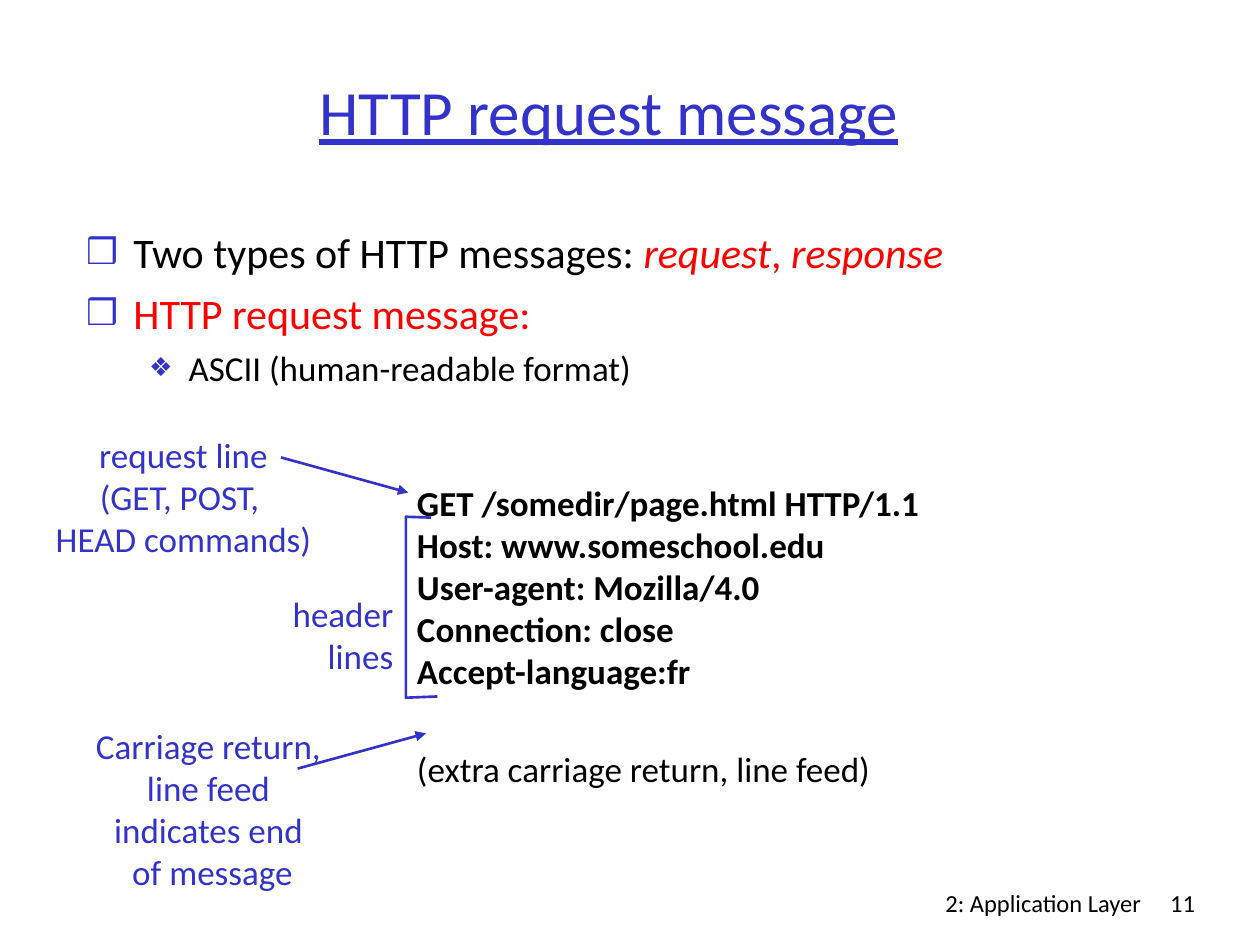
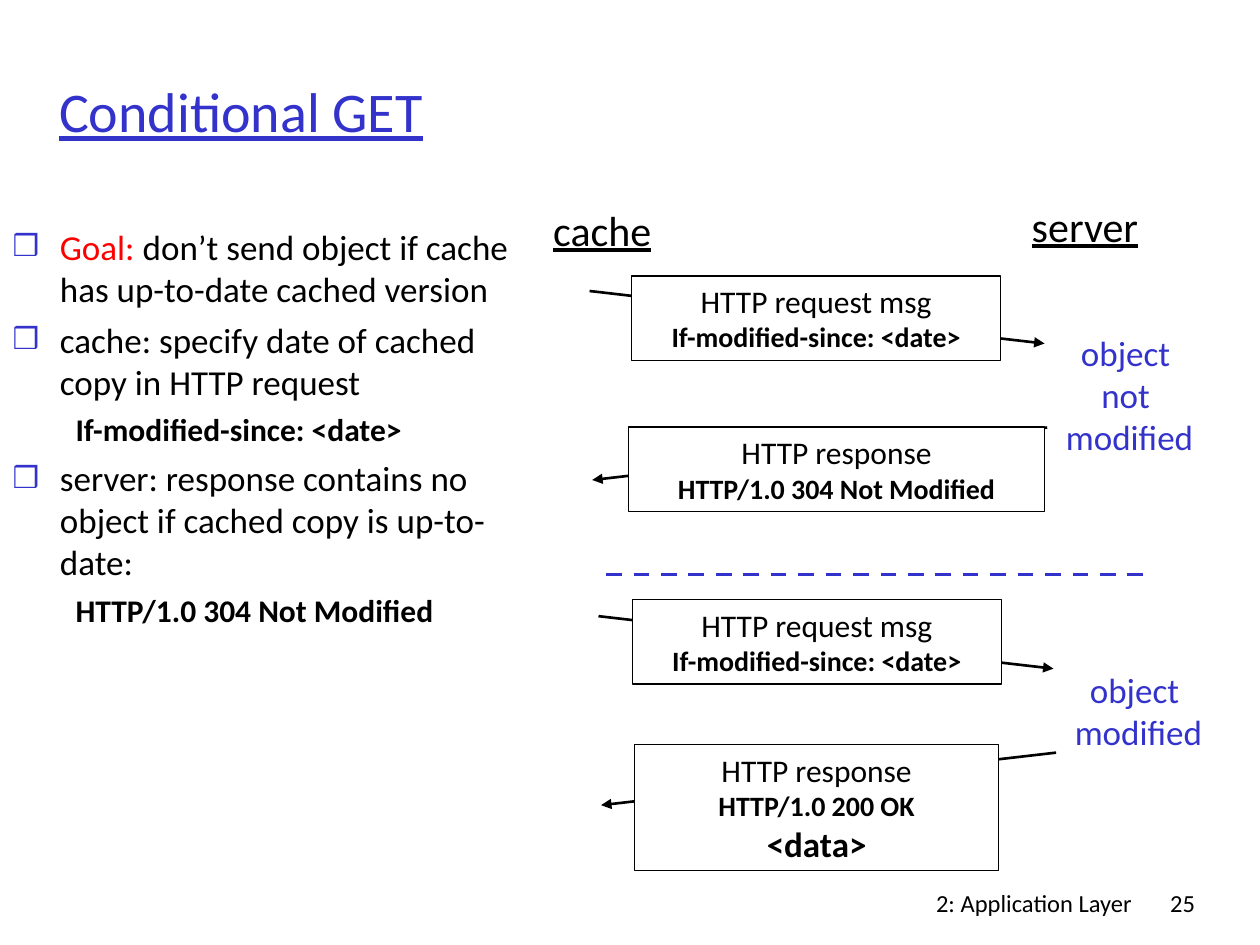
import pptx
import pptx.util
import pptx.dml.color
import pptx.enum.dml
import pptx.enum.shapes
import pptx.enum.text
import pptx.oxml
import pptx.oxml.ns

Pt = pptx.util.Pt
RGBColor = pptx.dml.color.RGBColor
ALIGN = pptx.enum.text.PP_ALIGN
AUTO_SIZE = pptx.enum.text.MSO_AUTO_SIZE
SHAPE = pptx.enum.shapes.MSO_SHAPE
CONNECTOR = pptx.enum.shapes.MSO_CONNECTOR

BLUE = RGBColor(0x33, 0x33, 0xCC)
RED = RGBColor(0xFF, 0x00, 0x00)
BLACK = RGBColor(0x00, 0x00, 0x00)
WHITE = RGBColor(0xFF, 0xFF, 0xFF)
FONT = "Calibri"
BULLETS = {"❒": 85000, "❖": 75000}


def sub(parent, tag, **attrs):
    el = pptx.oxml.parse_xml(f"<a:{tag} {pptx.oxml.ns.nsdecls('a')}/>")
    for name, value in attrs.items():
        el.set(name, str(value))
    parent.append(el)
    return el


def style(font, size=None, color=None, bold=None, italic=None, underline=None):
    if size:
        font.size = Pt(size)
    if color is not None:
        font.color.rgb = color
    font.bold, font.italic, font.underline = bold, italic, underline


def write(p, text, size=20, color=BLACK, align=ALIGN.LEFT, **kw):
    p.alignment = align
    p.font.name = FONT
    style(p.font, size, color, **kw)
    for part in [text] if isinstance(text, str) else text:
        words, look = (part, {}) if isinstance(part, str) else part
        r = p.add_run()
        r.text = words
        style(r.font, **look)


def paragraphs(tf, count):
    return [tf.paragraphs[0]] + [tf.add_paragraph() for _ in range(count - 1)]


def place(sp, box):
    sp.left, sp.top, sp.width, sp.height = map(Pt, box)


def add_text(slide, box, lines, wrap=False, **kw):
    sp = slide.shapes.add_textbox(*map(Pt, box))
    tf = sp.text_frame
    tf.word_wrap = wrap
    tf.auto_size = AUTO_SIZE.NONE if wrap else AUTO_SIZE.SHAPE_TO_FIT_TEXT
    for p, line in zip(paragraphs(tf, len(lines)), lines):
        write(p, line, **kw)
    return tf


def add_line(slide, start, end, color, width=1.5, arrow=True):
    line = slide.shapes.add_connector(CONNECTOR.STRAIGHT, *map(Pt, start + end))
    line.line.color.rgb = color
    line.line.width = Pt(width)
    if arrow:
        sub(line.line._get_or_add_ln(), "tailEnd", type="triangle")
    sub(line._element.spPr, "effectLst")
    return line


def add_title(slide, box, text, size, align):
    sp = slide.shapes.title
    place(sp, box)
    tf = sp.text_frame
    tf.auto_size = AUTO_SIZE.NONE
    tf.vertical_anchor = pptx.enum.text.MSO_ANCHOR.MIDDLE
    write(tf.paragraphs[0], text, size, BLUE, align, underline=True)


def add_body(slide, box, items):
    sp = slide.placeholders[1]
    place(sp, box)
    tf = sp.text_frame
    tf.auto_size = AUTO_SIZE.NONE
    for i, (p, item) in enumerate(zip(paragraphs(tf, len(items)), items)):
        level, bullet, text, look = item
        p.level = level
        p.space_before = Pt(look["size"] / 4 if i else 0)
        pPr = p._p.get_or_add_pPr()
        margin, indent = [(27, -27), (58.5, -22.5)][level]
        pPr.set("marL", str(Pt(margin)))
        pPr.set("indent", str(Pt(indent)))
        if bullet:
            sub(sub(pPr, "buClr"), "srgbClr", val=BLUE)
            sub(pPr, "buSzPct", val=BULLETS[bullet])
            sub(pPr, "buChar", char=bullet)
        else:
            sub(pPr, "buNone")
        write(p, text, **look)


def add_footer(slide, left, number):
    for box, text in [((left, 504, 228, 36), "2: Application Layer"),
                      ((654, 504, 36, 36), number)]:
        add_text(slide, box, [text], wrap=True, size=14, align=ALIGN.RIGHT)


def add_bracket(slide, box):
    x, y, w, h = box
    points = [(x + 14.5, y + 0.5), (x, y), (x, y + h), (x + w, y + h - 0.7)]
    points = [(Pt(px), Pt(py)) for px, py in points]
    builder = slide.shapes.build_freeform(*points[0])
    builder.add_line_segments(points[1:], close=False)
    sp = builder.convert_to_shape()
    sp.shadow.inherit = False
    sp.fill.background()
    sp.line.color.rgb = BLUE
    sp.line.width = Pt(1.5)


def add_message_diagram(slide, box):
    x, y, w, h = box
    tf = add_text(slide, (x + 206.6, y + 27.4, 303, 185),
                  ["GET /somedir/page.html HTTP/1.1", "Host: www.someschool.edu",
                   "User-agent: Mozilla/4.0", "Connection: close",
                   "Accept-language:fr"], bold=True)
    p = tf.add_paragraph()
    p.space_before = Pt(32)
    write(p, "(extra carriage return, line feed)")
    add_text(slide, (x, y, 160.5, 79),
             ["request line", "(GET, POST, ", "HEAD commands)"],
             color=BLUE, align=ALIGN.CENTER)
    add_line(slide, (x + 136, y + 17.3), (x + 208.7, y + 37.4), BLUE)
    add_bracket(slide, (x + 207.3, y + 51.2, 18, 103.4))
    add_text(slide, (x + 135.3, y + 90.7, 72, 55.4), ["header", "lines"],
             color=BLUE, align=ALIGN.RIGHT)
    add_line(slide, (x + 145.5, y + 195.1), (x + 218.8, y + 175), BLUE)
    add_text(slide, (x + 23, y + 166.3, 147.6, 103.7),
             ["Carriage return, ", "line feed ", "indicates end ", "of message"],
             color=BLUE, align=ALIGN.CENTER)


def add_message(slide, box, lines):
    sp = slide.shapes.add_shape(SHAPE.RECTANGLE, *map(Pt, box))
    sp.shadow.inherit = False
    sp.fill.solid()
    sp.fill.fore_color.rgb = WHITE
    sp.line.color.rgb = BLACK
    sp.line.width = Pt(0.75)
    tf = sp.text_frame
    tf.word_wrap = True
    tf.vertical_anchor = pptx.enum.text.MSO_ANCHOR.TOP
    for i, (p, size) in enumerate(zip(paragraphs(tf, len(lines)), (18, 16, 20))):
        write(p, lines[i], size, align=ALIGN.CENTER, bold=i > 0)


def add_exchange(slide, box, request_box, response_box, status):
    x, y, w, h = box
    add_line(slide, (x, y), (x + w, y + 30), BLACK)
    add_message(slide, request_box, ["HTTP request msg", "If-modified-since: <date>"])
    add_line(slide, (x + w + 1.5, y + h - 30), (x + 1.5, y + h), BLACK)
    add_message(slide, response_box, ["HTTP response"] + status)


def add_cache_diagram(slide, box):
    x, y, w, h = box
    for left, top, width, name in [(x, y + 2.2, 70.6, "cache"),
                                   (x + 273.6, y, 75, "server")]:
        add_text(slide, (left, top, width, 36), [name], size=24,
                 align=ALIGN.CENTER, underline=True)
    add_exchange(slide, (x + 28, y + 55.4, 260, 108),
                 (x + 52, y + 46.8, 211, 48.2), (x + 50.4, y + 133.2, 237.6, 48.2),
                 ["HTTP/1.0 304 Not Modified"])
    divider = add_line(slide, (x + 37.5, y + 217.4), (x + 345, y + 217.4),
                       BLUE, 2.25, arrow=False)
    divider.line.dash_style = pptx.enum.dml.MSO_LINE.DASH
    add_exchange(slide, (x + 33.1, y + 241.2, 260, 108),
                 (x + 52.4, y + 231.8, 211, 48.2), (x + 53.8, y + 314.6, 208, 72),
                 ["HTTP/1.0 200 OK", "<data>"])
    for left, top, height, lines in [
            (x + 293, y + 74.9, 79.2, ["object ", "not ", "modified"]),
            (x + 298.1, y + 267.8, 55.4, ["object ", "modified"])]:
        add_text(slide, (left, top, 87.1, height), lines, color=BLUE,
                 align=ALIGN.CENTER)


def add_request_slide(prs):
    slide = prs.slides.add_slide(prs.slide_layouts[1])
    add_footer(slide, 431.3, "11")
    add_title(slide, (42, 18, 612, 90), "HTTP request message", 36, ALIGN.CENTER)
    red_italic = {"color": RED, "italic": True}
    add_body(slide, (42, 126, 612, 366), [
        (0, "❒", ["Two types of HTTP messages: ", ("request", red_italic),
                  (", ", {"color": RED}), ("response", red_italic)], {"size": 24}),
        (0, "❒", "HTTP request message:", {"size": 24, "color": RED}),
        (1, "❖", "ASCII (human-readable format)", {"size": 20})])
    add_message_diagram(slide, (24.6, 244.1, 513, 270))


def add_conditional_slide(prs):
    slide = prs.slides.add_slide(prs.slide_layouts[1])
    add_footer(slide, 426, "25")
    add_title(slide, (26.6, 18, 627.4, 90), "Conditional GET", 32, ALIGN.LEFT)
    plain, code = {"size": 20}, {"size": 18, "bold": True}
    add_body(slide, (0, 125.3, 318.2, 339), [
        (0, "❒", [("Goal:", {"color": RED}),
                  " don’t send object if cache has up-to-date cached version"], plain),
        (0, "❒", "cache: specify date of cached copy in HTTP request", plain),
        (1, None, "If-modified-since: <date>", code),
        (0, "❒", "server: response contains no object if cached copy is up-to-date:",
         plain),
        (1, None, "HTTP/1.0 304 Not Modified", code)])
    add_cache_diagram(slide, (308.9, 110.9, 385.2, 386.6))


def main():
    prs = pptx.Presentation()
    prs.slide_width, prs.slide_height = Pt(720), Pt(540)
    add_request_slide(prs)
    add_conditional_slide(prs)
    prs.save("out.pptx")


if __name__ == "__main__":
    main()
